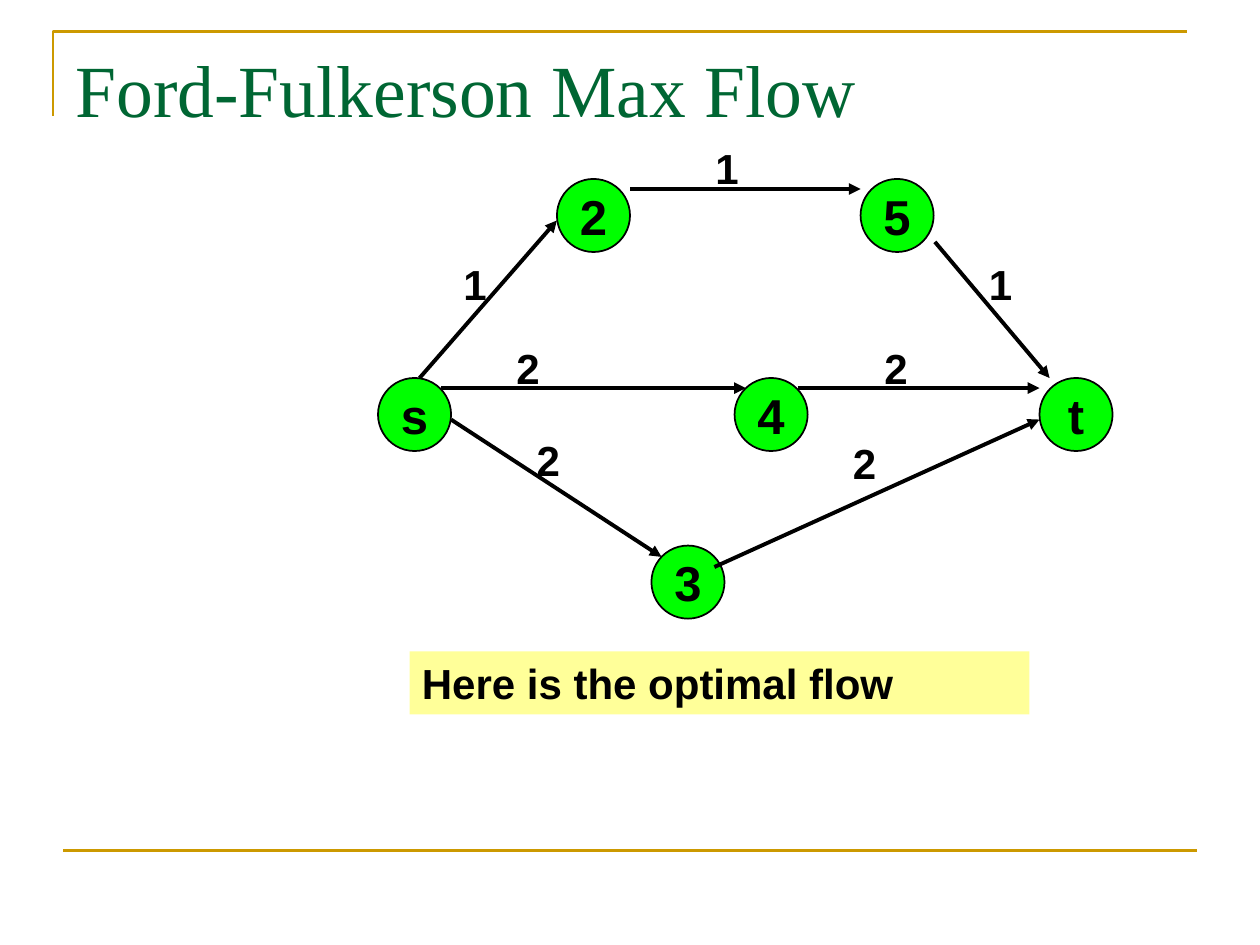
"""Build a slide with the optimal flow of a Ford-Fulkerson network."""
from lxml import etree
from pptx import Presentation
from pptx.dml.color import RGBColor
from pptx.enum.shapes import MSO_CONNECTOR, MSO_SHAPE
from pptx.enum.text import MSO_ANCHOR, PP_ALIGN
from pptx.oxml.ns import qn
from pptx.util import Inches, Pt

STRAIGHT = MSO_CONNECTOR.STRAIGHT
OVAL, RECTANGLE = MSO_SHAPE.OVAL, MSO_SHAPE.RECTANGLE
TOP, MIDDLE = MSO_ANCHOR.TOP, MSO_ANCHOR.MIDDLE
LEFT, CENTER = PP_ALIGN.LEFT, PP_ALIGN.CENTER

COLORS = {
    "gold": "CC9900",
    "title": "006633",
    "ink": "000000",
    "node": "00FF00",
    "note": "FFFF99",
}
NODE_SIZE = 0.58
NODES = [
    ("s", 3, 3),
    ("2", 4.42, 1.42),
    ("4", 5.83, 3),
    ("5", 6.83, 1.42),
    ("3", 5.17, 4.33),
    ("t", 8.25, 3),
]
EDGES = [
    ((3.58, 3.33), (5.25, 4.42)),
    ((3.33, 3), (4.42, 1.75)),
    ((3.5, 3.08), (5.92, 3.08)),
    ((5, 1.5), (6.83, 1.5)),
    ((6.33, 3.08), (8.25, 3.08)),
    ((5.67, 4.5), (8.25, 3.33)),
    ((7.42, 1.92), (8.33, 3)),
]
FLOWS = [
    ("1", 5.58, 1.08),
    ("1", 7.75, 2),
    ("2", 6.92, 2.67),
    ("2", 6.67, 3.42),
    ("2", 4, 2.67),
    ("1", 3.58, 2),
    ("2", 4.16, 3.4),
]


def color(name):
    return RGBColor.from_string(COLORS[name])


def write_text(shape, text, size=24, font="Arial", ink="ink", bold=True,
               align=LEFT, anchor=TOP, wrap=True):
    frame = shape.text_frame
    frame.word_wrap = wrap
    frame.vertical_anchor = anchor
    paragraph = frame.paragraphs[0]
    paragraph.alignment = align
    run = paragraph.add_run()
    run.text = text
    run.font.size = Pt(size)
    run.font.name = font
    run.font.bold = bold
    run.font.color.rgb = color(ink)


class SlideBuilder:
    def __init__(self, slide):
        self.slide = slide
        self.shapes = slide.shapes

    def title(self, text, left, top, width, height):
        title = self.shapes.title
        title.left, title.top = Inches(left), Inches(top)
        title.width, title.height = Inches(width), Inches(height)
        write_text(title, text, size=42, font="Times New Roman", ink="title", bold=False)

    def corner(self, points):
        start, *rest = [(Inches(x), Inches(y)) for x, y in points]
        builder = self.shapes.build_freeform(*start)
        builder.add_line_segments(rest, close=False)
        shape = builder.convert_to_shape()
        shape.shadow.inherit = False
        shape.fill.background()
        shape.line.color.rgb = color("gold")
        shape.line.width = Pt(1.5)

    def line(self, start, end, ink="ink", width=2.25, arrow=True):
        ends = [Inches(value) for value in (*start, *end)]
        connector = self.shapes.add_connector(STRAIGHT, *ends)
        connector.line.color.rgb = color(ink)
        connector.line.width = Pt(width)
        if arrow:
            outline = connector.line._get_or_add_ln()
            etree.SubElement(outline, qn("a:tailEnd"), type="triangle")
        etree.SubElement(connector._element.spPr, qn("a:effectLst"))

    def box(self, kind, text, left, top, width, height, fill, outlined=False, **text_format):
        shape = self.shapes.add_shape(
            kind, Inches(left), Inches(top), Inches(width), Inches(height))
        shape.shadow.inherit = False
        shape.fill.solid()
        shape.fill.fore_color.rgb = color(fill)
        if outlined:
            shape.line.color.rgb = color("ink")
            shape.line.width = Pt(1)
        else:
            shape.line.fill.background()
        write_text(shape, text, **text_format)

    def node(self, name, left, top):
        self.box(OVAL, name, left, top, NODE_SIZE, NODE_SIZE, "node", outlined=True,
                 size=28, align=CENTER, anchor=MIDDLE, wrap=False)

    def flow(self, text, left, top):
        label = self.shapes.add_textbox(
            Inches(left), Inches(top), Inches(0.59), Inches(0.5))
        write_text(label, text)


def main():
    presentation = Presentation()
    presentation.slide_width, presentation.slide_height = Inches(10), Inches(7.5)
    builder = SlideBuilder(presentation.slides.add_slide(presentation.slide_layouts[5]))

    builder.corner([(0.42, 0.92), (0.42, 0.25), (9.42, 0.25)])
    builder.line((0.5, 6.75), (9.5, 6.75), ink="gold", width=1.5, arrow=False)
    builder.title("Ford-Fulkerson Max Flow", 0.5, 0.3, 9, 1.25)
    for flow in FLOWS:
        builder.flow(*flow)
    for node in NODES:
        builder.node(*node)
    for edge in EDGES:
        builder.line(*edge)
    builder.box(RECTANGLE, "Here is the optimal flow", 3.25, 5.17, 4.92, 0.5, "note")

    presentation.save("out.pptx")


if __name__ == "__main__":
    main()
